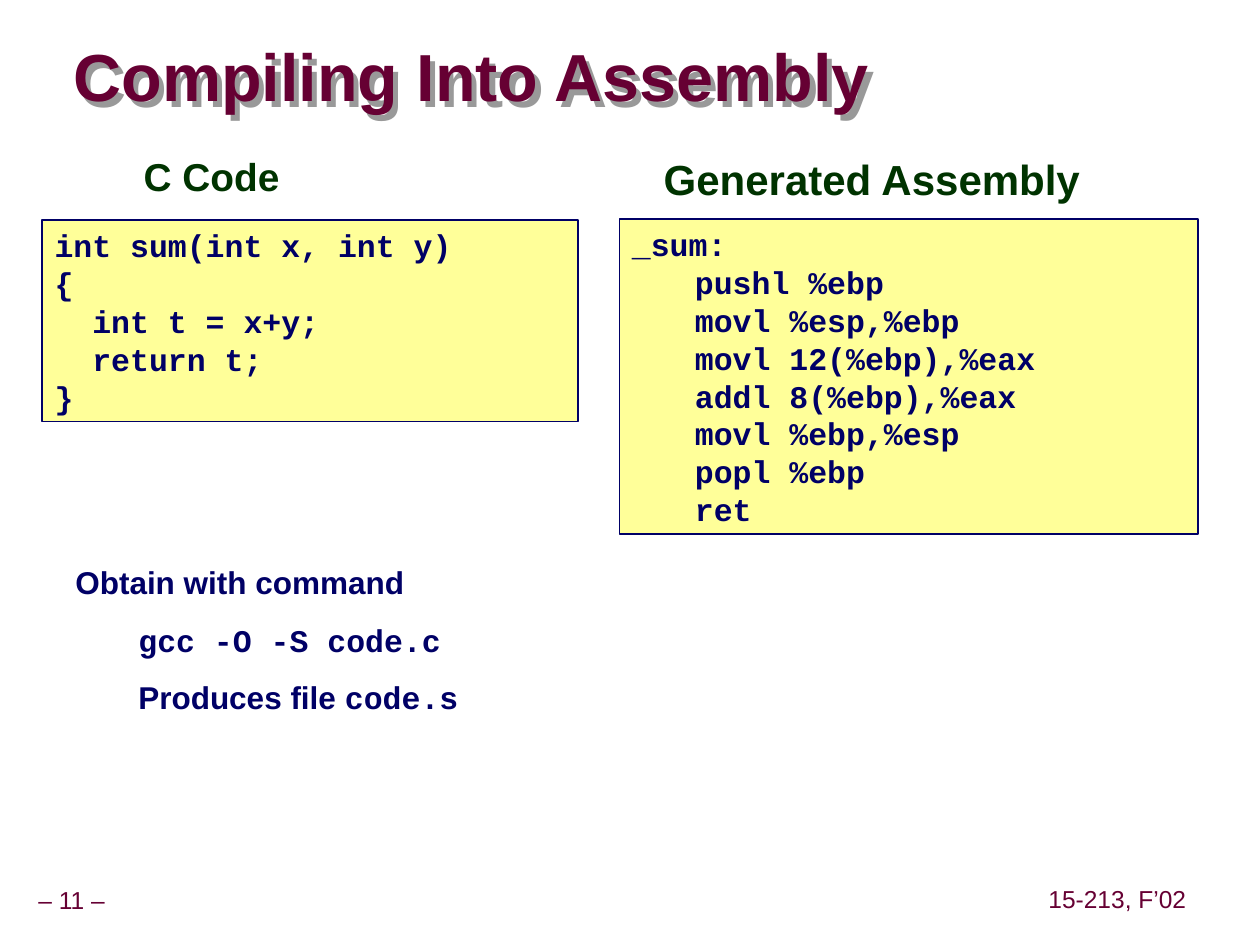
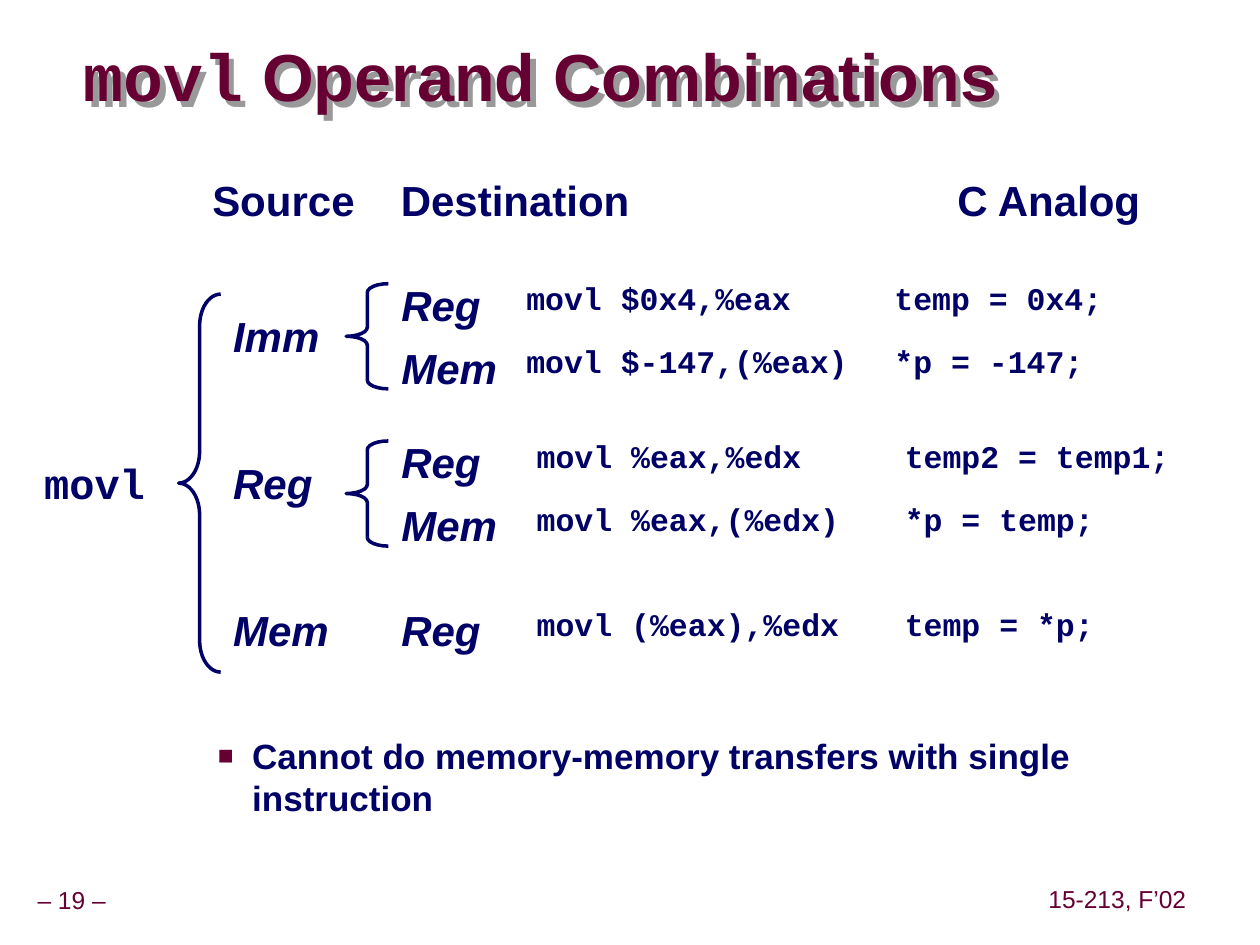
from lxml import etree
from pptx import Presentation
from pptx.dml.color import RGBColor
from pptx.enum import shapes, text
from pptx.oxml.ns import qn
from pptx.util import Cm, Pt


class Theme:
    wine = RGBColor.from_string("660033")
    navy = RGBColor.from_string("000066")
    green = RGBColor.from_string("003300")
    cream = RGBColor.from_string("FFFF99")
    shade = "999999"
    sans, mono = "Arial", "Courier New"
    title, head, label, body, code, foot = 38, 24, 22.2, 20, 18, 14


def write(shape, lines, size, color=Theme.navy, bold=True, italic=False, wrap=False,
          fit=text.MSO_AUTO_SIZE.SHAPE_TO_FIT_TEXT):
    """Fill a shape with lines; parts between backticks are set in the mono font."""
    frame = shape.text_frame
    frame.word_wrap = wrap
    frame.auto_size = fit
    for i, line in enumerate(lines):
        para = frame.add_paragraph() if i else frame.paragraphs[0]
        para.alignment = text.PP_ALIGN.LEFT
        para.space_before = Pt(0)
        for j, part in enumerate(line.split("`")):
            if not part:
                continue
            run = para.add_run()
            run.text = part
            font = run.font
            font.name = Theme.mono if j % 2 else Theme.sans
            font.size, font.bold, font.italic = Pt(size), bold, italic
            font.color.rgb = color
    return frame


def place(shape, x, y, w, h):
    shape.left, shape.top, shape.width, shape.height = Cm(x), Cm(y), Cm(w), Cm(h)
    return shape


deck = Presentation()
deck.slide_width, deck.slide_height = Cm(25.4), Cm(19.05)
fixed = text.MSO_AUTO_SIZE.NONE

# Titles and footers
pages = []
for title, number, x, w in [("Compiling Into Assembly", 11, 1.48, 19.02),
                            ("`movl` Operand Combinations", 19, 1.69, 19.91)]:
    page = deck.slides.add_slide(deck.slide_layouts[1])
    pages.append(page)
    head = place(page.shapes.title, x, 0.85, w, 1.57)
    frame = write(head, [title], Theme.title, Theme.wine, wrap=True, fit=fixed)
    frame.vertical_anchor = text.MSO_ANCHOR.MIDDLE
    frame.margin_left = frame.margin_right = frame.margin_top = frame.margin_bottom = 0
    frame.paragraphs[0].line_spacing = 0.87
    effects = etree.SubElement(head._element.spPr, qn("a:effectLst"))
    cast = etree.SubElement(effects, qn("a:outerShdw"), dist=str(Cm(0.15)),
                            dir="2700000", algn="ctr", rotWithShape="0")
    etree.SubElement(cast, qn("a:srgbClr"), val=Theme.shade)

    for label, left, top, wide in [(f"– {number} –", -0.22, 17.78, 3.33),
                                   ("15-213, F’02", 21, 17.76, 3.05)]:
        foot = page.shapes.add_textbox(Cm(left), Cm(top), Cm(wide), Cm(0.79))
        frame = write(foot, [label], Theme.foot, Theme.wine, bold=False)
        frame.vertical_anchor = text.MSO_ANCHOR.MIDDLE
        frame.margin_left = frame.margin_right = Cm(0.13)
        frame.paragraphs[0].alignment = text.PP_ALIGN.CENTER
        frame.paragraphs[0].line_spacing = 0.9

# Compiling Into Assembly
page = pages[0]
label = place(page.placeholders[1], 2.64, 3.16, 4.5, 1.02)
para = write(label, ["C Code"], Theme.label, Theme.green, wrap=True, fit=fixed).paragraphs[0]
para.line_spacing = 0.75
props = para._p.get_or_add_pPr()
props.set("marL", "0")
props.set("indent", "0")
etree.SubElement(props, qn("a:buNone"))

label = page.shapes.add_textbox(Cm(13.13), Cm(3.08), Cm(9.98), Cm(1.14))
frame = write(label, ["Generated Assembly"], Theme.head, Theme.green, wrap=True, fit=fixed)
frame.paragraphs[0].line_spacing = 0.9

source = ["int sum(int x, int y)", "{", "  int t = x+y;", "  return t;", "}"]
listing = ["_sum:", "\tpushl %ebp", "\tmovl %esp,%ebp", "\tmovl 12(%ebp),%eax",
           "\taddl 8(%ebp),%eax", "\tmovl %ebp,%esp", "\tpopl %ebp", "\tret"]
for lines, x, y, w, h in [(source, 0.85, 4.44, 10.8, 4.06),
                          (listing, 12.49, 4.42, 11.66, 6.35)]:
    panel = page.shapes.add_shape(shapes.MSO_SHAPE.RECTANGLE, Cm(x), Cm(y), Cm(w), Cm(h))
    panel.shadow.inherit = False
    panel.fill.solid()
    panel.fill.fore_color.rgb = Theme.cream
    panel.line.color.rgb = Theme.navy
    panel.line.width = Pt(1)
    frame = write(panel, [f"`{line}`" for line in lines], Theme.code, wrap=True)
    frame.vertical_anchor = text.MSO_ANCHOR.TOP
    for para in frame.paragraphs:
        tabs = etree.SubElement(para._p.get_or_add_pPr(), qn("a:tabLst"))
        etree.SubElement(tabs, qn("a:tab"), pos=str(Cm(1.27)), algn="l")

steps = page.shapes.add_textbox(Cm(1.27), Cm(11.23), Cm(9.73), Cm(3.33))
frame = write(steps, ["Obtain with command", "`gcc -O -S code.c`", "Produces file `code.s`"],
              Theme.code, wrap=True)
for para in frame.paragraphs[1:]:
    para.space_before = Pt(11.2)
    para.level = 1
    para._p.get_or_add_pPr().set("marL", str(Cm(1.27)))

# movl Operand Combinations
page = pages[1]
note = place(page.placeholders[1], 2.77, 14.68, 21.13, 3.23)
frame = write(note, ["Cannot do memory-memory transfers with single instruction"],
              Theme.body, wrap=True, fit=fixed)
para = frame.paragraphs[0]
para.level = 1
props = para._p.get_or_add_pPr()
props.set("marL", str(Cm(2.06)))
props.set("indent", str(-Cm(0.69)))
tint = etree.SubElement(props, qn("a:buClr"))
etree.SubElement(tint, qn("a:srgbClr"), val=str(Theme.wine))
etree.SubElement(props, qn("a:buSzPct"), val="75000")
etree.SubElement(props, qn("a:buFont"), typeface=Theme.sans)
etree.SubElement(props, qn("a:buChar"), char="■")

for word, x, w in [("Source", 4.03, 3.4), ("Destination", 7.83, 5.13),
                   ("C Analog", 19.05, 4.24)]:
    write(page.shapes.add_textbox(Cm(x), Cm(3.39), Cm(w), Cm(1.27)), [word], Theme.head)

write(page.shapes.add_textbox(Cm(0.64), Cm(9.1), Cm(2.6), Cm(1.27)), ["`movl`"], Theme.head)

widths = {"Imm": 2.26, "Reg": 2.13, "Mem": 2.46}
kinds = [("Imm", 4.45, 6.14), ("Reg", 4.45, 9.1), ("Mem", 4.45, 12.07)]
rows = [("Reg", 5.5, 0, "movl $0x4,%eax", "temp = 0x4;"),
        ("Mem", 6.77, 0, "movl $-147,(%eax)", "*p = -147;"),
        ("Reg", 8.68, 0.21, "movl %eax,%edx", "temp2 = temp1;"),
        ("Mem", 9.95, 0.21, "movl %eax,(%edx)", "*p = temp;"),
        ("Reg", 12.07, 0.21, "movl (%eax),%edx", "temp = *p;")]
for kind, x, y in kinds + [(row[0], 7.84, row[1]) for row in rows]:
    cell = page.shapes.add_textbox(Cm(x), Cm(y), Cm(widths[kind]), Cm(1.27))
    write(cell, [kind], Theme.head, italic=True)

for kind, y, shift, *codes in rows:
    for x, code in zip((10.36, 17.78), codes):
        wide = 0.39 * len(code) + 0.55
        cell = page.shapes.add_textbox(Cm(x + shift), Cm(y), Cm(wide), Cm(1.02))
        write(cell, [f"`{code}`"], Theme.code)

for x, y, h, bend in [(3.6, 5.93, 7.62, 0.75), (6.98, 5.72, 2.12, 0.21),
                      (6.98, 8.89, 2.12, 0.21)]:
    brace = page.shapes.add_shape(shapes.MSO_SHAPE.LEFT_BRACE, Cm(x), Cm(y), Cm(0.85), Cm(h))
    brace.shadow.inherit = False
    brace.adjustments[0] = bend
    brace.fill.background()
    brace.line.color.rgb = Theme.navy
    brace.line.width = Pt(2)

deck.save("out.pptx")
